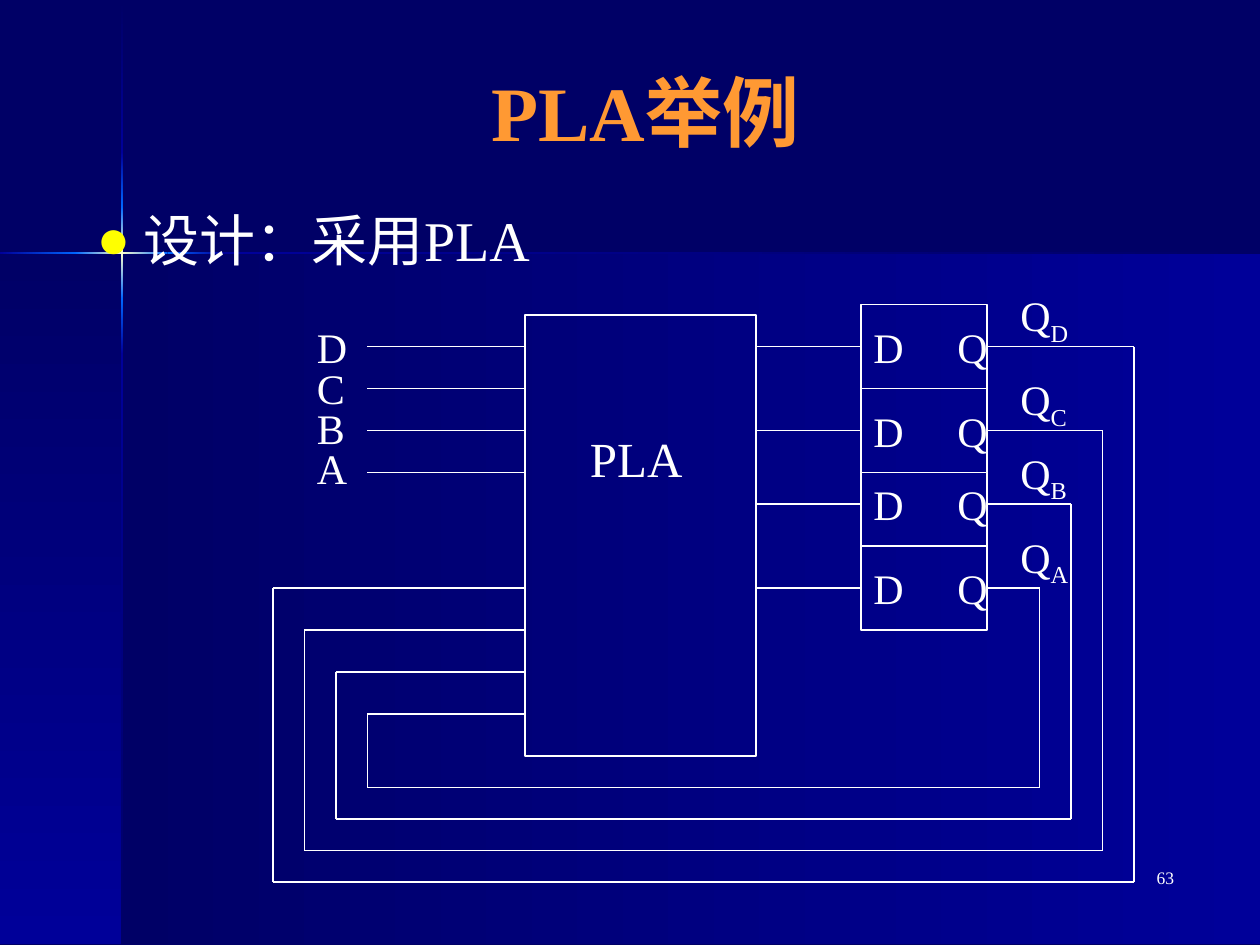
from itertools import pairwise

from lxml import etree
from pptx import Presentation
from pptx.dml.color import RGBColor
from pptx.enum.shapes import MSO_CONNECTOR, MSO_SHAPE
from pptx.enum.text import MSO_ANCHOR, MSO_AUTO_SIZE, PP_ALIGN
from pptx.oxml import parse_xml
from pptx.oxml.ns import nsdecls, qn
from pptx.util import Cm, Pt

RECTANGLE = MSO_SHAPE.RECTANGLE
STRAIGHT = MSO_CONNECTOR.STRAIGHT
LEFT, CENTER, RIGHT = PP_ALIGN.LEFT, PP_ALIGN.CENTER, PP_ALIGN.RIGHT
TOP, MIDDLE = MSO_ANCHOR.TOP, MSO_ANCHOR.MIDDLE
FONT = "Times New Roman"
WHITE, ORANGE, YELLOW = "FFFFFF", "FF9933", "FFFF00"
NAVY, BLUE, BRIGHT, CREAM = "000066", "000099", "0066FF", "FFFFCC"
ACROSS, DOWN = 0, 90

TITLE = "PLA举例"
DESIGN = "设计：采用PLA"
PAGE = "63"
INPUTS = ["D", "C", "B", "A"]
# Flip-flop name and the grid row of its wire
FLIP_FLOPS = [("D", 33), ("C", 41), ("B", 48), ("A", 56)]

# Background bands in cm: left, top, width, height, gradient direction, colours
BANDS = [
    (2.46, 5.11, 22.94, 13.92, ACROSS, (NAVY, BLUE)),
    (0, 5.11, 2.46, 13.92, DOWN, (NAVY, BLUE)),
    (2.44, 0, 0.05, 3.07, DOWN, (NAVY, BLUE)),
    (2.44, 7.14, 0.05, 11.89, DOWN, (BLUE, NAVY)),
    (4.5, 5.08, 20.9, 0.05, ACROSS, (BLUE, NAVY)),
    (2.44, 6.02, 0.05, 1.12, DOWN, (BRIGHT, BLUE)),
    (2.44, 3.07, 0.05, 1.1, DOWN, (BLUE, BRIGHT)),
    (2.44, 4.17, 0.05, 1.85, DOWN, (BRIGHT, CREAM, BRIGHT)),
    (0, 5.08, 1.55, 0.05, ACROSS, (BLUE, BRIGHT)),
    (3.38, 5.08, 1.12, 0.05, ACROSS, (BRIGHT, BLUE)),
    (1.52, 5.08, 1.86, 0.05, ACROSS, (BRIGHT, CREAM, BRIGHT)),
]

# Circuit columns and rows, in grid steps
PLA_LEFT, PLA_TOP, PLA_WIDTH, PLA_HEIGHT = 50, 30, 22, 42
PLA_RIGHT = PLA_LEFT + PLA_WIDTH
REG_LEFT, REG_TOP, REG_WIDTH, REG_HEIGHT = 82, 29, 12, 31
REG_RIGHT = REG_LEFT + REG_WIDTH


def grid(steps):
    """Length of a number of grid steps, twelve to 2.54 cm."""
    return Cm(2.54 * steps / 12)


def rgb(code):
    return RGBColor.from_string(code)


def add_band(slide, depth, band):
    """Gradient rectangle, put behind the placeholders."""
    *box, angle, colors = band
    shape = slide.shapes.add_shape(RECTANGLE, *map(Cm, box))
    shape.shadow.inherit = False
    shape.line.fill.background()
    stops = "".join(
        f'<a:gs pos="{100000 * i // (len(colors) - 1)}"><a:srgbClr val="{color}"/></a:gs>'
        for i, color in enumerate(colors)
    )
    shape._element.spPr.insert(2, parse_xml(
        f'<a:gradFill {nsdecls("a")} rotWithShape="1"><a:gsLst>{stops}</a:gsLst>'
        f'<a:lin ang="{angle * 60000}" scaled="0"/></a:gradFill>'
    ))
    slide.shapes._spTree.insert(2 + depth, shape._element)


def add_block(slide, *box):
    shape = slide.shapes.add_shape(RECTANGLE, *map(grid, box))
    shape.shadow.inherit = False
    shape.fill.background()
    shape.line.color.rgb = rgb(WHITE)
    shape.line.width = Pt(0.75)


def add_wire(slide, *points):
    """Chain of straight lines through grid points."""
    for start, end in pairwise(points):
        wire = slide.shapes.add_connector(STRAIGHT, *map(grid, start + end))
        wire.line.color.rgb = rgb(WHITE)
        wire.line.width = Pt(0.75)
        etree.SubElement(wire._element.spPr, qn("a:effectLst"))


def format_text(shape, size, color=WHITE, align=LEFT, anchor=TOP, bold=False):
    frame = shape.text_frame
    frame.word_wrap = True
    frame.auto_size = MSO_AUTO_SIZE.NONE
    frame.vertical_anchor = anchor
    for paragraph in frame.paragraphs:
        paragraph.alignment = align
        paragraph.space_before = Pt(0)
        font = paragraph.font
        font.name, font.size, font.bold = FONT, Pt(size), bold
        font.color.rgb = rgb(color)


def add_label(slide, text, box, size=24, align=LEFT):
    label = slide.shapes.add_textbox(*map(grid, box))
    label.text_frame.text = text
    format_text(label, size, align=align)
    return label


def place(shape, *box):
    shape.left, shape.top, shape.width, shape.height = map(grid, box)


def add_headings(slide):
    title, body = slide.placeholders
    place(title, 8, 4, 107, 13)
    title.text_frame.text = TITLE
    format_text(title, 44, ORANGE, CENTER, MIDDLE, bold=True)

    place(body, 8, 19, 107, 61)
    body.text_frame.text = DESIGN
    properties = body.text_frame.paragraphs[0]._p.get_or_add_pPr()
    properties.set("marL", str(Cm(0.95)))
    properties.set("indent", str(-Cm(0.95)))
    color = etree.SubElement(properties, qn("a:buClr"))
    etree.SubElement(color, qn("a:srgbClr"), val=YELLOW)
    etree.SubElement(properties, qn("a:buChar"), char="●")
    format_text(body, 32)


def add_inputs(slide):
    for i in range(len(INPUTS)):
        row = 33 + 4 * i
        add_wire(slide, (35, row), (PLA_LEFT, row))
    names = add_label(slide, "\n".join(INPUTS), (29, 31, 9, 16.5))
    for paragraph in names.text_frame.paragraphs:
        paragraph.line_spacing = 0.8


def add_flip_flop(slide, index, name, row):
    """One register cell, its wire from the PLA and its feedback loop."""
    if index:
        previous_row = FLIP_FLOPS[index - 1][1]
        add_wire(slide, (REG_LEFT, previous_row + 4), (REG_RIGHT, previous_row + 4))
    add_label(slide, "D", (REG_LEFT, row - 3, 6, 6))
    add_label(slide, "Q", (REG_LEFT + 8, row - 3, 6, 6))
    output = add_label(slide, "Q", (REG_RIGHT + 2, row - 6, 9, 6.7))
    subscript = output.text_frame.paragraphs[0].add_run()
    subscript.text = name
    subscript.font._element.set("baseline", "-25000")

    add_wire(slide, (PLA_RIGHT, row), (REG_LEFT, row))
    right, bottom, left = 108 - 3 * index, 84 - 3 * index, 26 + 3 * index
    entry = 56 + 4 * index
    add_wire(slide, (REG_RIGHT, row), (right, row), (right, bottom),
             (left, bottom), (left, entry), (PLA_LEFT, entry))


def main():
    deck = Presentation()
    deck.slide_width, deck.slide_height = Cm(25.4), Cm(19.05)
    slide = deck.slides.add_slide(deck.slide_layouts[1])
    slide.background.fill.solid()
    slide.background.fill.fore_color.rgb = rgb(NAVY)
    for depth, band in enumerate(BANDS):
        add_band(slide, depth, band)
    add_headings(slide)
    add_label(slide, PAGE, (88, 82, 25, 6), 10, RIGHT)
    add_block(slide, PLA_LEFT, PLA_TOP, PLA_WIDTH, PLA_HEIGHT)
    add_label(slide, "PLA", (55, 40.2, 14, 6.8), 28)
    add_inputs(slide)
    add_block(slide, REG_LEFT, REG_TOP, REG_WIDTH, REG_HEIGHT)
    for index, (name, row) in enumerate(FLIP_FLOPS):
        add_flip_flop(slide, index, name, row)
    deck.save("out.pptx")


if __name__ == "__main__":
    main()
